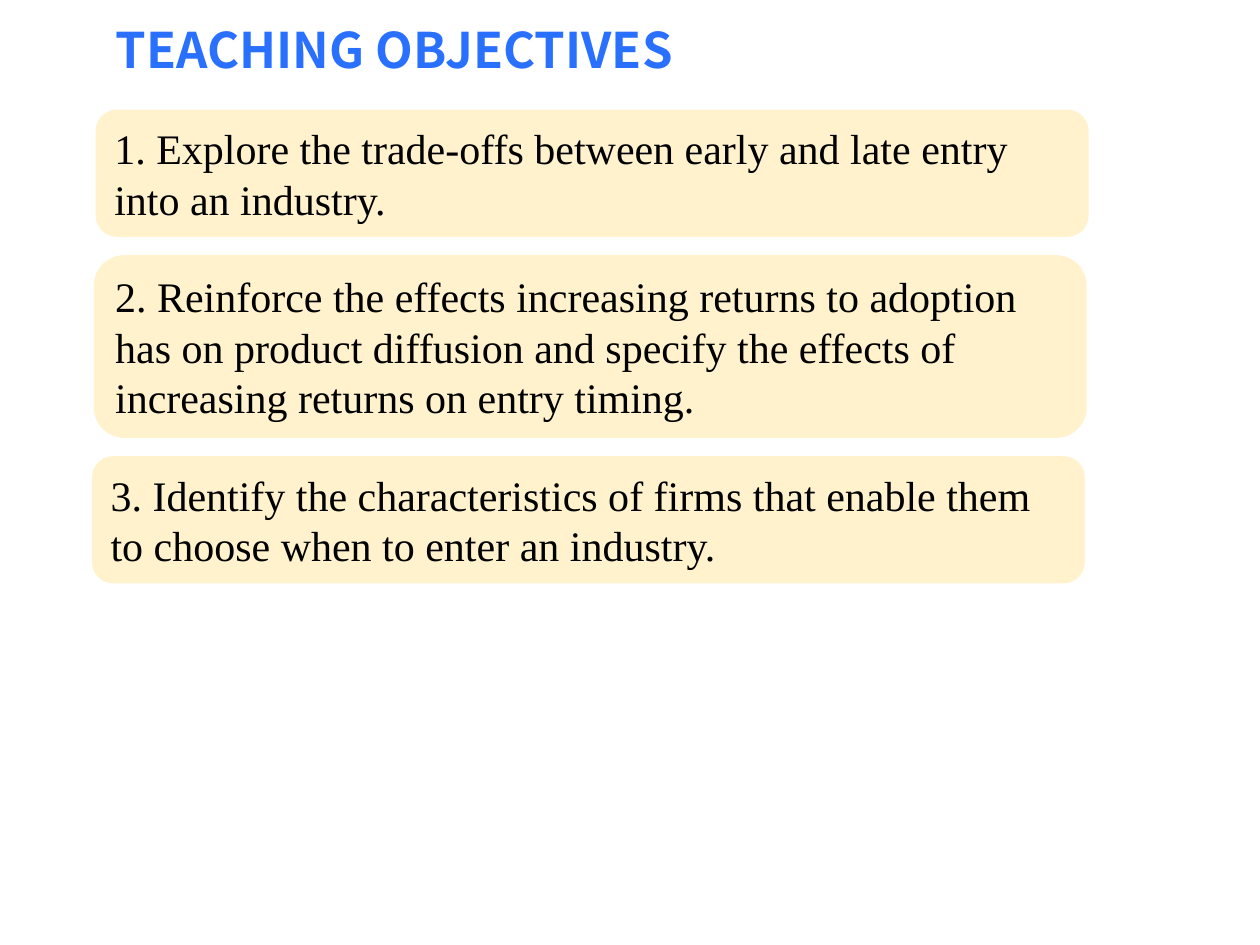
from lxml import etree
from pptx import Presentation
from pptx.dml.color import RGBColor
from pptx.enum.shapes import MSO_SHAPE
from pptx.enum.text import MSO_ANCHOR, PP_ALIGN
from pptx.oxml.ns import qn
from pptx.util import Inches, Pt

ROUND = MSO_SHAPE.ROUNDED_RECTANGLE
TOP, MIDDLE = MSO_ANCHOR.TOP, MSO_ANCHOR.MIDDLE
LEFT = PP_ALIGN.LEFT
COLS, ROWS = 100, 75
CELL = Inches(10) / COLS
GOALS = [
    ("1. Explore the trade-offs between early and late entry into an industry.", 10.1),
    ("2. Reinforce the effects increasing returns to adoption has on product "
     "diffusion and specify the effects of increasing returns on entry timing.", 14.5),
    ("3. Identify the characteristics of firms that enable them to choose "
     "when to enter an industry.", 10.1),
]


def grid(*cells):
    return [round(cell * CELL) for cell in cells]


def color(code):
    return RGBColor.from_string(code)


def write(shape, text, font, size, code, bold=False):
    frame = shape.text_frame
    frame.word_wrap = True
    frame.text = text
    para = frame.paragraphs[0]
    para.alignment = LEFT
    run = para.runs[0]
    run.font.name = font
    run.font.size = Pt(size)
    run.font.bold = bold
    run.font.color.rgb = color(code)
    for tag in ("a:ea", "a:cs"):
        etree.SubElement(run.font._element, qn(tag), typeface=font)
    return frame


def add_title(slide, box):
    shape = slide.shapes.add_textbox(*grid(*box))
    frame = write(shape, "TEACHING OBJECTIVES", "Noto Sans CJK SC", 28, "2970FF", True)
    frame.vertical_anchor = TOP
    frame.margin_left, frame.margin_top = grid(8, 2.1)
    frame.paragraphs[0].line_spacing = 0.9


def add_goal(slide, box, text):
    shape = slide.shapes.add_shape(ROUND, *grid(*box))
    shape.shadow.inherit = False
    shape.line.fill.background()
    shape.fill.solid()
    shape.fill.fore_color.rgb = color("FFC000")
    tint = shape._element.spPr.find(".//" + qn("a:srgbClr"))
    etree.SubElement(tint, qn("a:alpha"), val="20000")
    write(shape, text, "Times New Roman", 24, "000000").vertical_anchor = MIDDLE


def add_goals(slide, box, gap, shift):
    left, top, width = box
    for text, height in GOALS:
        add_goal(slide, (left, top, width, height), text)
        left -= shift
        top += height + gap


def main():
    deck = Presentation()
    deck.slide_width, deck.slide_height = grid(COLS, ROWS)
    slide = deck.slides.add_slide(deck.slide_layouts[6])
    add_title(slide, (1.2, 0, 91.2, 14.5))
    add_goals(slide, (7.6, 8.7, 78.8), 1.45, 0.15)
    deck.save("out.pptx")


if __name__ == "__main__":
    main()
